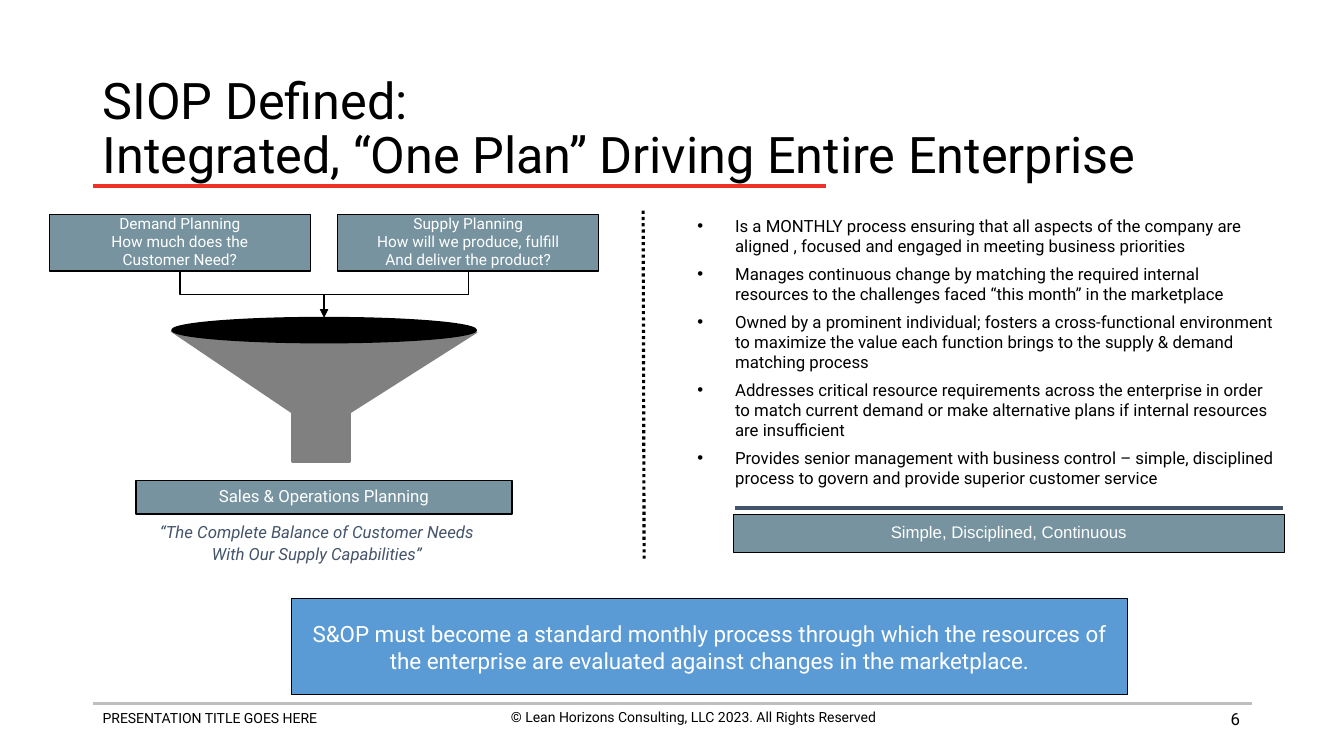
from lxml import etree
from pptx import Presentation
from pptx.dml.color import RGBColor as RGB
from pptx.enum.dml import MSO_LINE as Dash
from pptx.enum.shapes import MSO_CONNECTOR as Conn, MSO_SHAPE as Shape
from pptx.enum.text import MSO_ANCHOR as Anchor, PP_ALIGN as Align
from pptx.oxml.ns import qn
from pptx.util import Pt

BLACK = RGB(0x00, 0x00, 0x00)
WHITE = RGB(0xFF, 0xFF, 0xFF)
RED = RGB(0xEE, 0x32, 0x28)
BLUE = RGB(0x5B, 0x9B, 0xD5)
TEAL = RGB(0x76, 0x93, 0x9F)
SLATE = RGB(0x44, 0x54, 0x6A)
GRAY = RGB(0x80, 0x80, 0x80)
SILVER = RGB(0xBF, 0xBF, 0xBF)

PLANS = [
    "Demand Planning\nHow much does the\nCustomer Need?",
    "Supply Planning\nHow will we produce, fulfill\nAnd deliver the product?",
]
QUOTE = "“The Complete Balance of Customer Needs\nWith Our Supply Capabilities”"
POINTS = [
    "Is a MONTHLY process ensuring that all aspects of the company are "
    "aligned , focused and engaged in meeting business priorities",
    "Manages continuous change by matching the required internal "
    "resources to the challenges faced “this month” in the marketplace",
    "Owned by a prominent individual; fosters a cross-functional environment "
    "to maximize the value each function brings to the supply & demand "
    "matching process",
    "Addresses critical resource requirements across the enterprise in order "
    "to match current demand or make alternative plans if internal resources "
    "are insufficient",
    "Provides senior management with business control – simple, disciplined "
    "process to govern and provide superior customer service",
]
CLAIM = ("S&OP must become a standard monthly process through which the "
         "resources of the enterprise are evaluated against changes in the "
         "marketplace.")


def write(shape, text, size, color, align=Align.LEFT, anchor=Anchor.TOP,
          lead=1.0, gap=0, font="Roboto", slant=False, wrap=True):
    """Fill a shape with evenly formatted paragraphs."""
    frame = shape.text_frame
    frame.text = text
    frame.word_wrap = wrap
    frame.vertical_anchor = anchor
    for i, para in enumerate(frame.paragraphs):
        para.alignment = align
        para.line_spacing = lead
        para.space_before = Pt(gap if i else 0)
        for run in para.runs:
            run.font.size = Pt(size)
            run.font.name = font
            run.font.italic = slant
            run.font.color.rgb = color


def label(slide, x, y, w, h, text, size, color, **style):
    """Add a text box."""
    box = slide.shapes.add_textbox(Pt(x), Pt(y), Pt(w), Pt(h))
    write(box, text, size, color, **style)
    return box


def paint(shape, fill, edge, width):
    """Give a shape a flat fill and an outline."""
    shape.shadow.inherit = False
    shape.fill.solid()
    shape.fill.fore_color.rgb = fill
    shape.line.color.rgb = edge
    shape.line.width = Pt(width)


def panel(slide, x, y, w, h, text, size, fill=TEAL, edge=1, lead=0.8, **style):
    """Add a filled box with white centred text."""
    box = slide.shapes.add_shape(Shape.RECTANGLE, Pt(x), Pt(y), Pt(w), Pt(h))
    paint(box, fill, BLACK, edge)
    write(box, text, size, WHITE, align=Align.CENTER, anchor=Anchor.MIDDLE,
          lead=lead, **style)


def rule(slide, x1, y1, x2, y2, color, width, kind=Conn.STRAIGHT):
    """Add a line without a shadow."""
    line = slide.shapes.add_connector(kind, Pt(x1), Pt(y1), Pt(x2), Pt(y2))
    line.line.color.rgb = color
    line.line.width = Pt(width)
    etree.SubElement(line._element.spPr, qn("a:effectLst"))
    return line


def elbow(slide, x1, y1, x2, y2):
    """Add an arrow that drops, runs sideways and drops again."""
    mx, my = (x1 + x2) / 2, (y1 + y2) / 2
    dx, dy = abs(x2 - x1) / 2, (y2 - y1) / 2
    right = x2 > x1
    side = dy if right else -dy
    line = rule(slide, mx + side, my - dx, mx - side, my + dx, BLACK, 1,
                Conn.ELBOW)
    turn = 270 if right else 90
    line._element.spPr.find(qn("a:xfrm")).set("rot", str(turn * 60000))
    edge = line.line._get_or_add_ln()
    etree.SubElement(edge, qn("a:tailEnd"), type="triangle")


def header(slide, x, y, w, h):
    """Draw the title and its red rule."""
    label(slide, x, y, w, h,
          "SIOP Defined:\vIntegrated, “One Plan” Driving Entire Enterprise",
          36, BLACK, anchor=Anchor.MIDDLE, lead=0.9)
    rule(slide, x, y + h + 0.5, x + 524, y + h + 0.5, RED, 3)


def funnel(slide, x, y, w):
    """Draw both plans flowing through the funnel into one plan."""
    wide, tall, rim = 186.5, 40.3, 73.4
    mid = x + w / 2
    for i, plan in enumerate(PLANS):
        left = x + i * (w - wide)
        panel(slide, left, y, wide, tall, plan, 11, gap=2.4)

    outline = [(87.2, 82.8), (173.6, 141.1), (173.6, 176.4),
               (214.6, 176.4), (214.6, 141.1), (305.3, 83.5)]
    dots = [(Pt(x + dx), Pt(y + dy)) for dx, dy in outline]
    path = slide.shapes.build_freeform(*dots[0])
    path.add_line_segments(dots[1:], close=False)
    paint(path.convert_to_shape(), GRAY, GRAY, 1.75)

    mouth = slide.shapes.add_shape(Shape.OVAL, Pt(mid - 108.7), Pt(y + rim),
                                   Pt(217.4), Pt(18))
    paint(mouth, BLACK, BLACK, 1)
    for start in (x + wide / 2, x + w - wide / 2):
        elbow(slide, start, y + tall, mid, y + rim)

    panel(slide, x + 62, y + 190, 268.5, 23.8,
          "Sales & Operations Planning", 12)
    label(slide, x + 68.4, y + 216.7, 245.5, 38.2, QUOTE, 12, SLATE,
          align=Align.CENTER, lead=0.95, gap=2.4, slant=True, wrap=False)


def bullets(slide, x, y, w, h):
    """Draw the list of traits with its summary bar."""
    box = label(slide, x, y, w, h, "\n".join(POINTS), 12, BLACK, gap=5.4)
    for para in box.text_frame.paragraphs:
        props = para._p.get_or_add_pPr()
        props.set("marL", str(Pt(27)))
        props.set("indent", str(Pt(-27)))
        etree.SubElement(props, qn("a:buFont"), typeface="Arial")
        etree.SubElement(props, qn("a:buChar"), char="•")
    left, right = x + 33, x + w
    panel(slide, left, y + 216.7, right - left, 27.4,
          "Simple, Disciplined, Continuous", 12, edge=0.75, font="Arial")
    rule(slide, left + 1, y + 212.4, right - 1, y + 212.4, SLATE, 2.25)


def footer(slide, x, y, w):
    """Draw the bottom rule, the notices and the page number."""
    rule(slide, x, y, x + w, y, SILVER, 2)
    label(slide, x, y + 0.8, 328, 31.7, "PRESENTATION TITLE GOES HERE",
          10, BLACK)
    label(slide, x + 265, y, 328, 31.7,
          "© Lean Horizons Consulting, LLC 2023. All Rights Reserved",
          10, BLACK, align=Align.CENTER)
    label(slide, x + w - 217.4, y - 3.6, 216, 28.8, "6", 12, BLACK,
          align=Align.RIGHT, anchor=Anchor.MIDDLE)


def main():
    """Build the slide and save it."""
    deck = Presentation()
    deck.slide_width, deck.slide_height = Pt(960), Pt(540)
    slide = deck.slides.add_slide(deck.slide_layouts[6])
    footer(slide, 66.25, 502.5, 828)
    header(slide, 66.25, 53.3, 828, 79.2)
    panel(slide, 208.1, 427.7, 597.6, 68.4, CLAIM, 16, fill=BLUE, edge=0.75,
          lead=1.0)
    split = rule(slide, 459.4, 150.5, 460.1, 401, BLACK, 2.25)
    split.line.dash_style = Dash.ROUND_DOT
    split.line._get_or_add_ln().find(qn("a:prstDash")).set("val", "sysDot")
    funnel(slide, 35.25, 153.4, 392.5)
    bullets(slide, 491, 150.5, 426.25, 187.2)
    deck.save("out.pptx")


if __name__ == "__main__":
    main()
